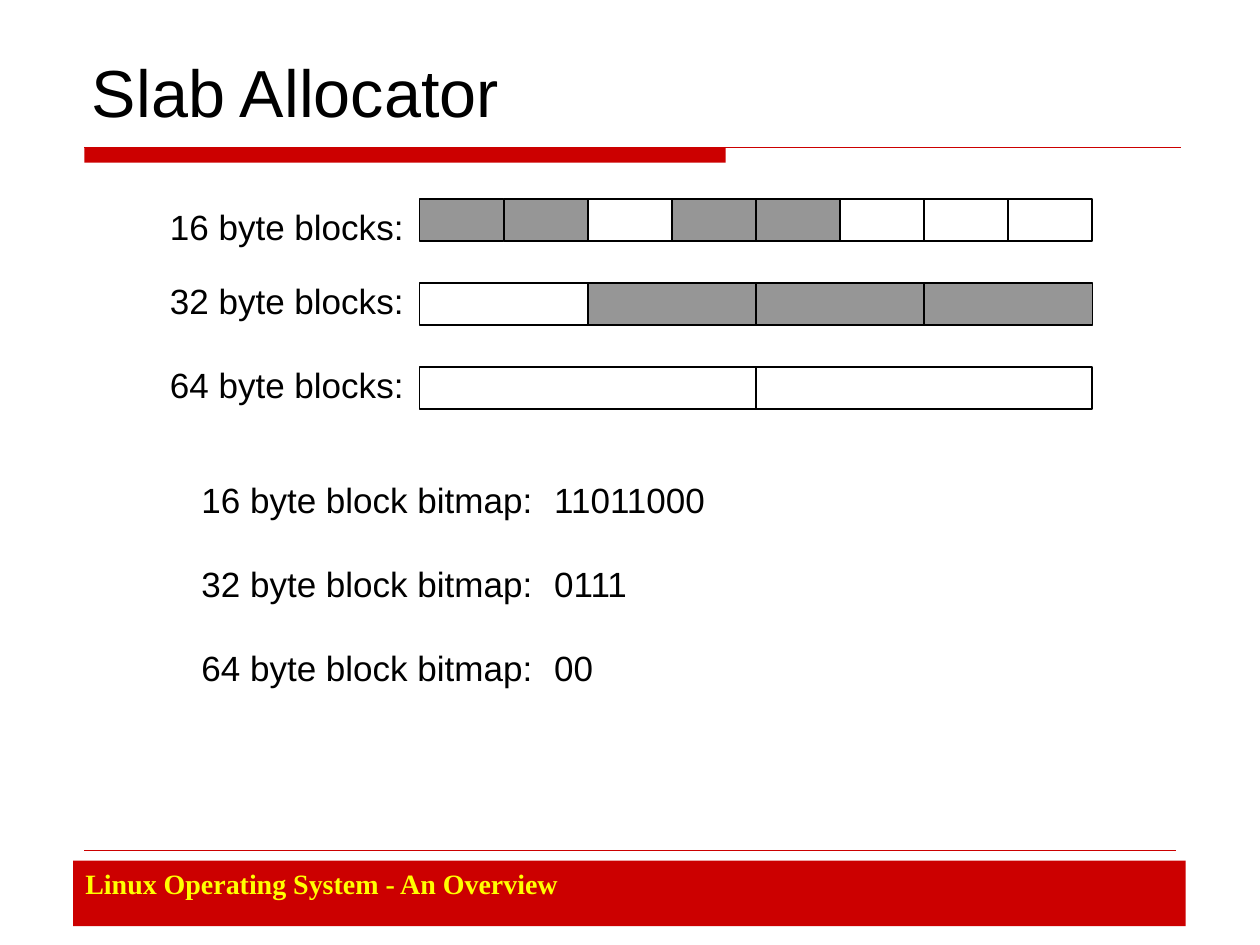
from lxml import etree
from pptx import Presentation
from pptx.dml.color import RGBColor
from pptx.enum.shapes import MSO_CONNECTOR, MSO_SHAPE
from pptx.enum.text import MSO_ANCHOR, MSO_AUTO_SIZE, PP_ALIGN
from pptx.oxml.ns import qn
from pptx.util import Inches, Pt

RECT = MSO_SHAPE.RECTANGLE
STRAIGHT = MSO_CONNECTOR.STRAIGHT
TOP, BOTTOM = MSO_ANCHOR.TOP, MSO_ANCHOR.BOTTOM
LEFT = PP_ALIGN.LEFT
NO_FIT = MSO_AUTO_SIZE.NONE

WIDTH, HEIGHT = 10, 7.5
RED, GREY, BLACK, YELLOW = "CC0000", "969696", "000000", "FFFF00"
BODY = {"name": "Arial", "size": Pt(20), "bold": False}
TITLE = BODY | {"size": Pt(38)}
FOOTER = {"name": "Times New Roman", "size": Pt(16), "bold": True}
BITMAPS = {16: "11011000", 32: "0111", 64: "00"}
ROW = 2 / 3


def rgb(value):
    """Turn a hex string into a colour."""
    return RGBColor.from_string(value)


def inches(*values):
    """Turn numbers into lengths in inches."""
    return [Inches(v) for v in values]


def write(sp, text, fmt, color=BLACK, anchor=TOP, wrap=True):
    """Write one left-aligned line of text into a shape."""
    tf = sp.text_frame
    for name, value in {"word_wrap": wrap, "auto_size": NO_FIT,
                        "vertical_anchor": anchor}.items():
        setattr(tf, name, value)
    p = tf.paragraphs[0]
    p.alignment = LEFT
    r = p.add_run()
    r.text = text
    for name, value in fmt.items():
        setattr(r.font, name, value)
    r.font.color.rgb = rgb(color)
    return p


def add_rect(s, box, fill=None, line=None):
    """Draw a rectangle with an optional fill and outline."""
    sp = s.shapes.add_shape(RECT, *inches(*box))
    sp.shadow.inherit = False
    for part, color in ((sp.fill, fill), (sp.line.fill, line)):
        if color:
            part.solid()
            part.fore_color.rgb = rgb(color)
        else:
            part.background()
    if line:
        sp.line.width = Pt(1)
    return sp


def add_rule(s, left, top, width, weight):
    """Draw a horizontal red rule."""
    c = s.shapes.add_connector(STRAIGHT, *inches(left, top, left + width, top))
    c.line.color.rgb = rgb(RED)
    c.line.width = Pt(weight)
    etree.SubElement(c._element.spPr, qn("a:effectLst"))


def add_header(s, left, top, width, height):
    """Place the title above a rule with a thick start."""
    title = s.shapes.title
    box = inches(left - 0.04, top, width / 2, 0.75)
    for name, value in zip(("left", "top", "width", "height"), box):
        setattr(title, name, value)
    write(title, "Slab Allocator", TITLE, anchor=BOTTOM)
    bar = 0.12
    rule = top + height - bar
    add_rect(s, (left, rule, width * 0.585, bar), RED)
    add_rule(s, left, rule, width, 1)


def add_label(s, left, top, width, text, wrap=False):
    """Place one line of body text."""
    sp = s.shapes.add_textbox(*inches(left, top, width, 0.44))
    return write(sp, text, BODY, wrap=wrap)


def add_blocks(s, left, top, width, height):
    """Draw each block size as a row of cells, grey where its bit is set."""
    cells = left + 2.08
    for i, (size, bits) in enumerate(BITMAPS.items()):
        y = top + i * ROW
        add_label(s, left, y if i == 0 else y - 0.08, 2.05, f"{size} byte blocks:")
        cell = (width - 2.08) / len(bits)
        for j, bit in enumerate(bits):
            box = (cells + j * cell, y, cell, height)
            add_rect(s, box, GREY if bit == "1" else None, BLACK)


def add_bitmaps(s, left, top, width):
    """List the bitmap of each block size, with the bits at a tab stop."""
    for i, (size, bits) in enumerate(BITMAPS.items()):
        text = f"{size} byte block bitmap:\t{bits}"
        p = add_label(s, left, top + i * ROW, width, text, wrap=True)
        tabs = etree.SubElement(p._p.get_or_add_pPr(), qn("a:tabLst"))
        etree.SubElement(tabs, qn("a:tab"), pos=str(Inches(2.8)), algn="l")


def add_footer(s, left, top, width, height):
    """Draw the footer rule and the red band with its text."""
    add_rule(s, left + 0.09, top - 0.08, width - 0.17, 0.25)
    band = add_rect(s, (left, top, width, height), RED)
    write(band, "Linux Operating System - An Overview", FOOTER, YELLOW)


def main():
    """Build the slide and save it."""
    prs = Presentation()
    prs.slide_width, prs.slide_height = inches(WIDTH, HEIGHT)
    s = prs.slides.add_slide(prs.slide_layouts[5])
    add_header(s, 0.67, 0.34, 8.7, 0.95)
    add_blocks(s, 1.25, 1.58, 7.42, ROW / 2)
    add_bitmaps(s, 1.5, 3.75, 4.22)
    add_footer(s, 0.58, 6.83, 8.83, 0.52)
    prs.save("out.pptx")


if __name__ == "__main__":
    main()
